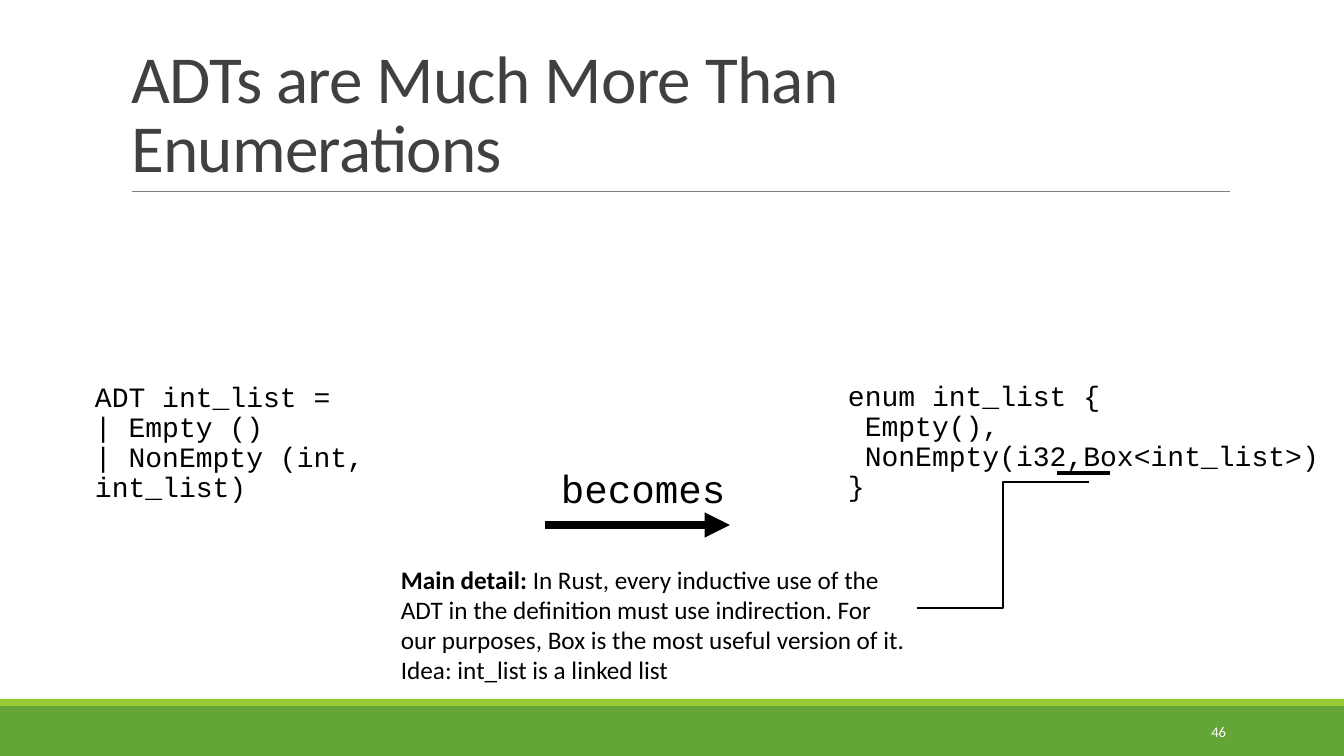
import dataclasses

import pptx
import pptx.dml.color
import pptx.enum.shapes
import pptx.enum.text
import pptx.oxml.ns
import pptx.util
from lxml import etree

ALIGN = pptx.enum.text.PP_ALIGN
ANCHOR = pptx.enum.text.MSO_ANCHOR
CONNECTOR = pptx.enum.shapes.MSO_CONNECTOR
SLIDE_W, SLIDE_H = 1344, 756
EMU_PER_PX = pptx.util.Inches(13.3333) / SLIDE_W


@dataclasses.dataclass(frozen=True)
class Theme:
    green: str = "63A537"
    lime: str = "99CB38"
    rule: str = "808080"
    title: str = "404040"
    ink: str = "000000"
    white: str = "FFFFFF"
    body_font: str = "Calibri"
    code_font: str = "Courier New"
    title_pt: float = 48
    label_pt: float = 28
    code_pt: float = 20
    note_pt: float = 18
    number_pt: float = 10.5


def px(n):
    return pptx.util.Emu(round(n * EMU_PER_PX))


def rgb(color):
    return pptx.dml.color.RGBColor.from_string(color)


def add_child(parent, tag, **attrs):
    return etree.SubElement(parent, pptx.oxml.ns.qn(tag), **attrs)


class SlideBuilder:
    def __init__(self, prs, theme):
        self.theme = theme
        self.s = prs.slides.add_slide(prs.slide_layouts[5])

    def add_text(self, p, text, size, color, font=None, bold=False):
        """Add text to a paragraph, with a line break at each newline."""
        for i, line in enumerate(text.split("\n")):
            if i:
                p.add_line_break()
            r = p.add_run()
            r.text = line
            r.font.name = font or self.theme.body_font
            r.font.size = pptx.util.Pt(size)
            r.font.bold = bold
            r.font.color.rgb = rgb(color)
        return r

    def title(self, text, x, y, w, h):
        sp = self.s.shapes.title
        sp.left, sp.top, sp.width, sp.height = map(px, (x, y, w, h))
        tf = sp.text_frame
        tf.auto_size = pptx.enum.text.MSO_AUTO_SIZE.NONE
        tf.word_wrap = True
        tf.vertical_anchor = ANCHOR.BOTTOM
        tf.margin_right = px(60)
        p = tf.paragraphs[0]
        p.alignment = ALIGN.LEFT
        p.line_spacing = 0.85
        r = self.add_text(p, text, self.theme.title_pt, self.theme.title)
        r._r.get_or_add_rPr().set("spc", "-50")

    def band(self, y, h, color):
        sp = self.s.shapes.add_shape(
            pptx.enum.shapes.MSO_SHAPE.RECTANGLE, 0, px(y), px(SLIDE_W), px(h))
        sp.shadow.inherit = False
        sp.fill.solid()
        sp.fill.fore_color.rgb = rgb(color)
        sp.line.fill.background()

    def text_box(self, x, y, w, h):
        tf = self.s.shapes.add_textbox(*map(px, (x, y, w, h))).text_frame
        tf.word_wrap = True
        return tf

    def code(self, text, x, y, w, h, size, inset=0):
        tf = self.text_box(x, y, w, h)
        tf.margin_left, tf.margin_right = px(inset), 0
        p = tf.paragraphs[0]
        p.line_spacing = 0.9
        p.space_before = pptx.util.Pt(12)
        p.space_after = pptx.util.Pt(2)
        self.add_text(p, text, size, self.theme.ink, self.theme.code_font)

    def note(self, lead, text, x, y, w, h):
        p = self.text_box(x, y, w, h).paragraphs[0]
        self.add_text(p, lead, self.theme.note_pt, self.theme.ink, bold=True)
        self.add_text(p, text, self.theme.note_pt, self.theme.ink)

    def slide_number(self, text, x, y, w, h):
        tf = self.text_box(x, y, w, h)
        tf.vertical_anchor = ANCHOR.MIDDLE
        p = tf.paragraphs[0]
        p.alignment = ALIGN.RIGHT
        self.add_text(p, text, self.theme.number_pt, self.theme.white)

    def line(self, x1, y1, x2, y2, color, width,
             kind=CONNECTOR.STRAIGHT, arrow=False):
        c = self.s.shapes.add_connector(kind, *map(px, (x1, y1, x2, y2)))
        c.line.color.rgb = rgb(color)
        c.line.width = pptx.util.Pt(width)
        sp_pr = c._element.spPr
        if arrow:
            add_child(sp_pr.find(pptx.oxml.ns.qn("a:ln")), "a:tailEnd",
                      type="triangle")
        add_child(sp_pr, "a:effectLst")


def main():
    prs = pptx.Presentation()
    prs.slide_width, prs.slide_height = px(SLIDE_W), px(SLIDE_H)
    theme = Theme()
    b = SlideBuilder(prs, theme)

    b.band(706, 50, theme.green)
    b.band(699, 7, theme.lime)
    b.line(132, 191, 1230, 191, theme.rule, 0.5)
    b.title("ADTs are Much More Than Enumerations", 121, 31, 1109, 160)

    b.code("ADT int_list = \n| Empty () \n| NonEmpty (int, int_list)",
           85, 378, 434, 273, theme.code_pt, inset=10)
    b.code("enum int_list {\n Empty(),\n NonEmpty(i32,Box<int_list>)\n}",
           848, 377, 479, 273, theme.code_pt)
    b.code("becomes", 561, 465, 244, 153, theme.label_pt)
    b.line(545, 525, 730, 525, theme.ink, 6, arrow=True)

    b.line(1057, 473, 1110, 473, theme.ink, 2.25)
    b.line(917, 608, 1089, 482, theme.ink, 1, kind=CONNECTOR.ELBOW)
    b.note("Main detail:",
           " In Rust, every inductive use of the ADT in the definition must use"
           " indirection. For our purposes, Box is the most useful version of it."
           "\nIdea: int_list is a linked list",
           391, 559, 525, 132)
    b.slide_number("46", 1092, 712, 144, 40)

    prs.save("out.pptx")


if __name__ == "__main__":
    main()
